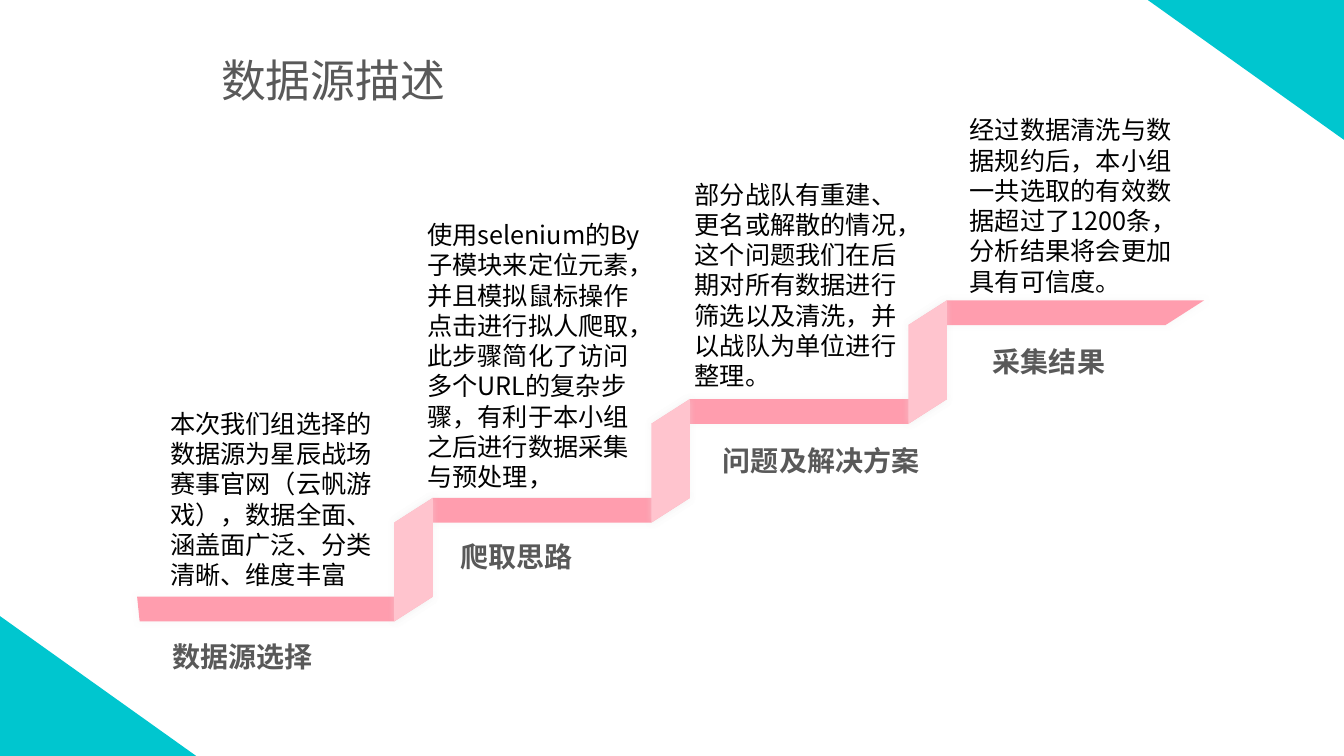
from lxml import etree
from pptx import Presentation, util as u
from pptx.dml.color import RGBColor
from pptx.enum import lang, shapes, text
from pptx.oxml import ns

COLOURS = {"corner": "00C6CF", "tread": "FF9DAE", "riser": "FFC4CE",
           "shadow": "ECECEC", "heading": "595959", "body": "000000"}
FONT = "Noto Sans CJK SC"
WIDTH, HEIGHT = u.Inches(13.33), u.Inches(7.5)
COLUMN, ROW = u.Inches(2.55), u.Inches(0.98)
STAIR_LEFT, STAIR_BASE = u.Inches(1.36), u.Inches(5.92)
SKEW, DEPTH = 0.15, 0.25
BODY_WIDTH, LABEL_WIDTH = u.Inches(2.31), u.Inches(2.46)

STEPS = [
    {"label": "数据源选择", "label_at": (0.1, -0.31),
     "body": "本次我们组选择的数据源为星辰战场赛事官网（云帆游戏），"
             "数据全面、涵盖面广泛、分类清晰、维度丰富",
     "body_at": (0.09, 1.96), "rows": 1.96},
    {"label": "爬取思路", "label_at": (1.22, 0.7),
     "body": "使用selenium的By子模块来定位元素，并且模拟鼠标操作点击进行拟人爬取，"
             "此步骤简化了访问多个URL的复杂步骤，有利于本小组之后进行数据采集与预处理，",
     "body_at": (1.09, 3.87), "rows": 2.89},
    {"label": "问题及解决方案", "label_at": (2.24, 1.67),
     "body": "部分战队有重建、更名或解散的情况，这个问题我们在后期对所有数据"
             "进行筛选以及清洗，并以战队为单位进行整理。",
     "body_at": (2.13, 4.28), "rows": 2.27},
    {"label": "采集结果", "label_at": (3.29, 2.67),
     "body": "经过数据清洗与数据规约后，本小组一共选取的有效数据超过了1200条，"
             "分析结果将会更加具有可信度。",
     "body_at": (3.2, 4.93), "rows": 1.94},
]


def place(column, row):
    """Turn a stair column and row, counted upwards, into slide lengths."""
    return int(STAIR_LEFT + column * COLUMN), int(STAIR_BASE - row * ROW)


def paint(shape, colour):
    """Fill a shape with a named colour, without line or shadow."""
    shape.shadow.inherit = False
    shape.fill.solid()
    shape.fill.fore_color.rgb = RGBColor.from_string(COLOURS[colour])
    shape.line.fill.background()


def add_glow(shape):
    """Give a stair part its soft shadow."""
    effects = shape.element.spPr.find(ns.qn("a:effectLst"))
    shadow = etree.SubElement(effects, ns.qn("a:outerShdw"), blurRad=str(u.Pt(5)),
                              dist="0", dir="0", rotWithShape="0")
    colour = etree.SubElement(shadow, ns.qn("a:srgbClr"), val=COLOURS["shadow"])
    etree.SubElement(colour, ns.qn("a:alpha"), val="40000")


def add_outline(page, points, colour):
    """Draw a closed stair part through grid points."""
    start, *rest = [place(*point) for point in points]
    builder = page.shapes.build_freeform(*start)
    builder.add_line_segments(rest, close=True)
    part = builder.convert_to_shape()
    paint(part, colour)
    add_glow(part)


def add_tread(page, step):
    """Draw the flat part of one step."""
    near = 0 if step else SKEW
    front = step if step else 0.01
    points = [(front, step - DEPTH), (step + SKEW - near, step),
              (step + 1 + SKEW, step), (step + 1, step - DEPTH)]
    add_outline(page, points, "tread")


def add_riser(page, step):
    """Draw the upright part that leads to the next step."""
    edge = step + 1
    points = [(edge, step - DEPTH), (edge + SKEW, step),
              (edge + SKEW, step + 1), (edge, step + 1 - DEPTH)]
    add_outline(page, points, "riser")


def add_corner(page, left, top, rotation):
    """Draw a right triangle in a corner of the slide."""
    corner = page.shapes.add_shape(
        shapes.MSO_SHAPE.RIGHT_TRIANGLE, int(left * WIDTH), int(top * HEIGHT),
        int(0.146 * WIDTH), int(0.185 * HEIGHT))
    corner.rotation = rotation
    paint(corner, "corner")


def write(box, words, size, colour, align, bold=False, spacing=None):
    """Put one formatted run into a box."""
    para = box.text_frame.paragraphs[0]
    para.alignment = align
    para.line_spacing = spacing
    span = para.add_run()
    span.text = words
    font = span.font
    font.name, font.size, font.bold = FONT, u.Pt(size), bold
    font.language_id = lang.MSO_LANGUAGE_ID.SIMPLIFIED_CHINESE
    font.color.rgb = RGBColor.from_string(COLOURS[colour])
    etree.SubElement(span.font._element, ns.qn("a:ea"), typeface=FONT)


def add_text(page, spot, width, rows, *style, **extra):
    """Add a wrapped text box at a grid spot."""
    box = page.shapes.add_textbox(*place(*spot), width, int(rows * ROW))
    box.text_frame.word_wrap = True
    box.text_frame.auto_size = text.MSO_AUTO_SIZE.SHAPE_TO_FIT_TEXT
    write(box, *style, **extra)


def set_title(page, words):
    """Move and format the title placeholder."""
    title = page.shapes.title
    title.left, title.top = int(0.156 * WIDTH), int(0.063 * HEIGHT)
    title.width, title.height = int(0.184 * WIDTH), int(0.085 * HEIGHT)
    title.text_frame.word_wrap = False
    title.text_frame.auto_size = text.MSO_AUTO_SIZE.NONE
    title.text_frame.vertical_anchor = text.MSO_ANCHOR.MIDDLE
    write(title, words, 32, "heading", text.PP_ALIGN.CENTER)


def main():
    """Build the staircase slide and save it."""
    deck = Presentation()
    deck.slide_width, deck.slide_height = WIDTH, HEIGHT
    page = deck.slides.add_slide(deck.slide_layouts[5])
    set_title(page, "数据源描述")
    add_corner(page, 0.854, 0, 180)
    add_corner(page, 0, 0.815, 0)
    for step in range(len(STEPS)):
        add_tread(page, step)
    for step in range(len(STEPS) - 1):
        add_riser(page, step)
    for step in STEPS:
        add_text(page, step["body_at"], BODY_WIDTH, step["rows"],
                 step["body"], 18, "body", text.PP_ALIGN.LEFT)
        add_text(page, step["label_at"], LABEL_WIDTH, 0.51, step["label"], 20,
                 "heading", text.PP_ALIGN.JUSTIFY, bold=True, spacing=1.2)
    deck.save("out.pptx")


if __name__ == "__main__":
    main()
